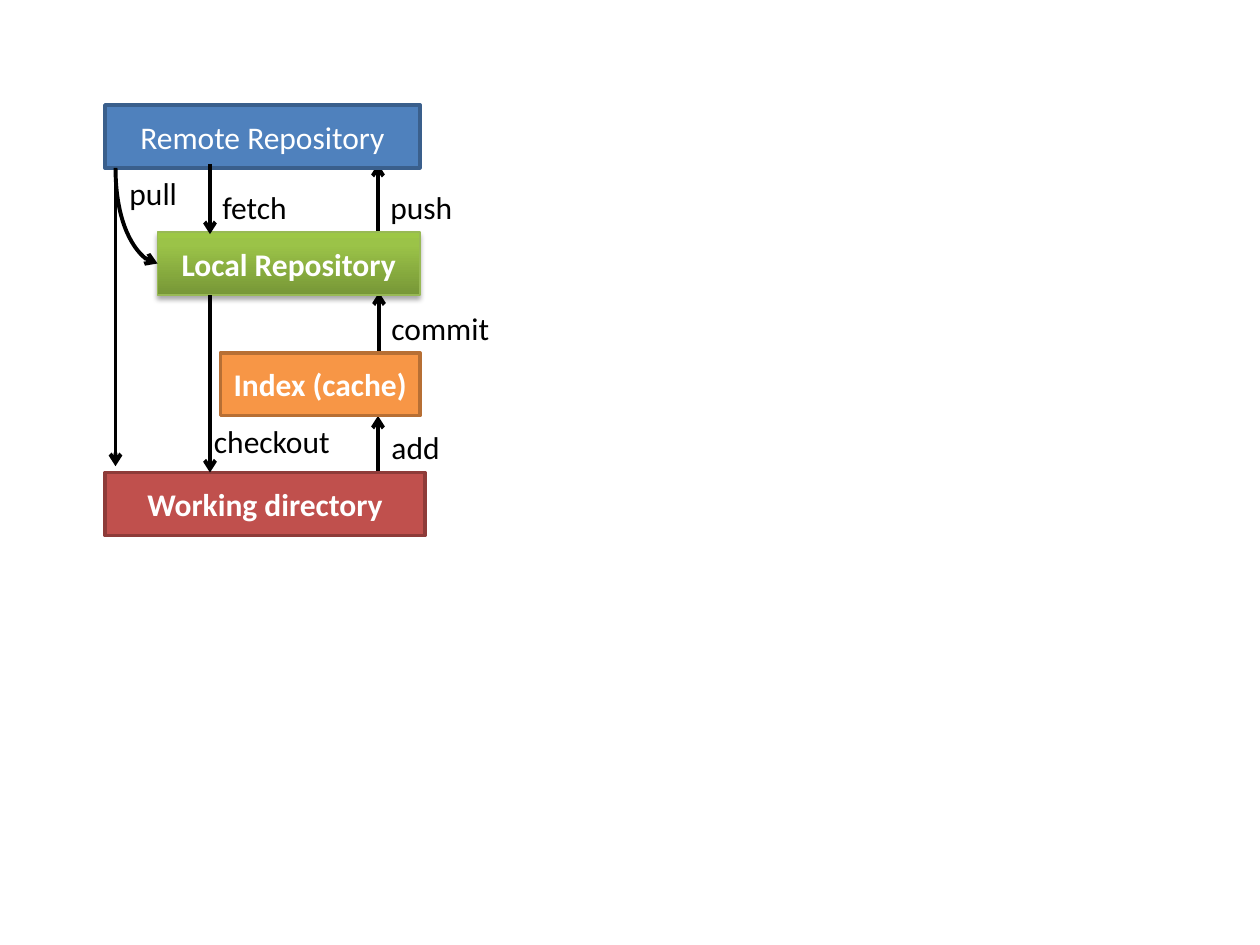
"""Builds a slide that shows how version control commands move work between repositories."""
from copy import deepcopy

from lxml import etree
from pptx import Presentation
from pptx.dml.color import RGBColor
from pptx.enum.shapes import MSO_CONNECTOR, MSO_SHAPE
from pptx.enum.text import MSO_ANCHOR, MSO_AUTO_SIZE, PP_ALIGN
from pptx.oxml.ns import qn
from pptx.util import Inches, Pt

STRAIGHT, CURVE = MSO_CONNECTOR.STRAIGHT, MSO_CONNECTOR.CURVE
RECTANGLE = MSO_SHAPE.RECTANGLE
MIDDLE, CENTER = MSO_ANCHOR.MIDDLE, PP_ALIGN.CENTER
FIT_SHAPE = MSO_AUTO_SIZE.SHAPE_TO_FIT_TEXT

BLACK = RGBColor(0x00, 0x00, 0x00)
WHITE = RGBColor(0xFF, 0xFF, 0xFF)
BLUE, BLUE_EDGE = RGBColor(0x4F, 0x81, 0xBD), RGBColor(0x3A, 0x5F, 0x8C)
ORANGE, ORANGE_EDGE = RGBColor(0xF7, 0x96, 0x46), RGBColor(0xB7, 0x6F, 0x34)
RED, RED_EDGE = RGBColor(0xC0, 0x50, 0x4D), RGBColor(0x8E, 0x3B, 0x39)
GREEN_EDGE = RGBColor(0x98, 0xB9, 0x55)
GREEN_STOPS = (
    (0, RGBColor(0x77, 0x97, 0x37)),
    (0.8, RGBColor(0x9B, 0xC3, 0x48)),
    (1, RGBColor(0x9D, 0xC7, 0x46)),
)

COLUMNS, ROWS = 24, 18
BOX_ROWS, LABEL_ROWS = 1.2, 0.96
PUSH_COLUMN, FETCH_COLUMN, PULL_COLUMN = 7.2, 4, 2.2


class FlowSlide:
    """Holds the style and the current slide, measured in grid columns and rows."""

    font_name = "Calibri"
    font_size = Pt(18)
    arrow_width = Pt(2.25)

    def __init__(self, presentation):
        self.slide = presentation.slides.add_slide(presentation.slide_layouts[6])
        self.column = presentation.slide_width / COLUMNS
        self.row = presentation.slide_height / ROWS

    def place(self, *lengths):
        """Turns alternating columns and rows into slide lengths."""
        units = (self.column, self.row) * 2
        return [round(length * unit) for length, unit in zip(lengths, units)]

    def add_text(self, paragraph, text, color, bold=False):
        """Adds one styled run."""
        run = paragraph.add_run()
        run.text = text
        run.font.name = self.font_name
        run.font.size = self.font_size
        run.font.bold = bold
        run.font.color.rgb = color

    def box(self, text, left, top, width, fill, edge, edge_width=2, bold=True):
        """Adds a labelled box with a flat color or a gradient given as stops."""
        shape = self.slide.shapes.add_shape(
            RECTANGLE, *self.place(left, top, width, BOX_ROWS))
        shape.shadow.inherit = False
        shape.line.color.rgb = edge
        shape.line.width = Pt(edge_width)
        if isinstance(fill, RGBColor):
            shape.fill.solid()
            shape.fill.fore_color.rgb = fill
        else:
            self.shade(shape, fill)
        frame = shape.text_frame
        frame.word_wrap = True
        frame.vertical_anchor = MIDDLE
        paragraph = frame.paragraphs[0]
        paragraph.alignment = CENTER
        self.add_text(paragraph, text, WHITE, bold)
        return shape

    def shade(self, shape, stops):
        """Fills a shape with an upward gradient."""
        shape.fill.gradient()
        shape.fill.gradient_angle = 90
        stop_list = shape.element.spPr.find(".//" + qn("a:gsLst"))
        while len(stop_list) < len(stops):
            stop_list.append(deepcopy(stop_list[0]))
        for stop, (position, color) in zip(shape.fill.gradient_stops, stops):
            stop.position = position
            stop.color.rgb = color

    def cast_shadow(self, shape):
        """Gives a shape a soft shadow below it."""
        effects = shape.element.spPr.find(qn("a:effectLst"))
        shadow = etree.SubElement(
            effects, qn("a:outerShdw"), blurRad=str(Pt(3.1)), dist=str(Pt(1.8)),
            dir="5400000", rotWithShape="0")
        color = etree.SubElement(shadow, qn("a:srgbClr"), val=str(BLACK))
        etree.SubElement(color, qn("a:alpha"), val="35000")

    def label(self, text, left, top, width):
        """Adds a command name beside its arrow."""
        shape = self.slide.shapes.add_textbox(
            *self.place(left, top, width, LABEL_ROWS))
        frame = shape.text_frame
        frame.word_wrap = False
        frame.auto_size = FIT_SHAPE
        self.add_text(frame.paragraphs[0], text, BLACK)

    def connect(self, kind, start, end):
        """Adds a black connector with an arrowhead at its end."""
        connector = self.slide.shapes.add_connector(
            kind, *self.place(*start, *end))
        connector.line.color.rgb = BLACK
        connector.line.width = self.arrow_width
        properties = connector.element.spPr
        etree.SubElement(properties.find(qn("a:ln")), qn("a:tailEnd"), type="arrow")
        etree.SubElement(properties, qn("a:effectLst"))
        return connector

    def arrow(self, column, start_row, end_row):
        """Adds a vertical arrow."""
        self.connect(STRAIGHT, (column, start_row), (column, end_row))

    def curved_arrow(self, left, top, right, bottom):
        """Adds a quarter curve that leaves downward and arrives rightward."""
        middle, center = (left + right) / 2, (top + bottom) / 2
        across, down = (bottom - top) / 2, (right - left) / 2
        connector = self.connect(
            CURVE, (middle - across, center - down), (middle + across, center + down))
        properties = connector.element.spPr
        properties.find(qn("a:prstGeom")).set("prst", "curvedConnector2")
        transform = properties.find(qn("a:xfrm"))
        transform.set("rot", "16200000")
        transform.set("flipH", "1")


def main():
    """Draws the repositories and the commands between them."""
    presentation = Presentation()
    presentation.slide_width, presentation.slide_height = Inches(10), Inches(7.5)
    flow = FlowSlide(presentation)

    for column, start_row, end_row in (
        (7.22, 6.82, 5.57),
        (PUSH_COLUMN, 4.44, 3.12),
        (PUSH_COLUMN, 9.19, 7.92),
    ):
        flow.arrow(column, start_row, end_row)

    flow.box("Remote Repository", 2, 2, 6, BLUE, BLUE_EDGE, bold=False)
    local = flow.box("Local Repository", 3, 4.42, 5, GREEN_STOPS, GREEN_EDGE, 0.75)
    flow.cast_shadow(local)
    flow.box("Index (cache)", 4.2, 6.72, 3.8, ORANGE, ORANGE_EDGE)
    flow.box("Working directory", 2, 9, 6.1, RED, RED_EDGE)

    for column, start_row, end_row in (
        (FETCH_COLUMN, 3.12, 4.46),
        (FETCH_COLUMN, 5.62, 9),
        (PULL_COLUMN, 3.31, 8.88),
    ):
        flow.arrow(column, start_row, end_row)
    flow.curved_arrow(PULL_COLUMN, 3.2, 3, 5.02)

    for text, left, top, width in (
        ("push", 7.2, 3.46, 1.68),
        ("commit", 7.22, 5.76, 2.38),
        ("add", 7.22, 8.04, 1.42),
        ("checkout", 3.84, 7.92, 2.71),
        ("fetch", 4, 3.46, 1.73),
        ("pull", 2.23, 3.19, 1.39),
    ):
        flow.label(text, left, top, width)

    presentation.save("out.pptx")


if __name__ == "__main__":
    main()
